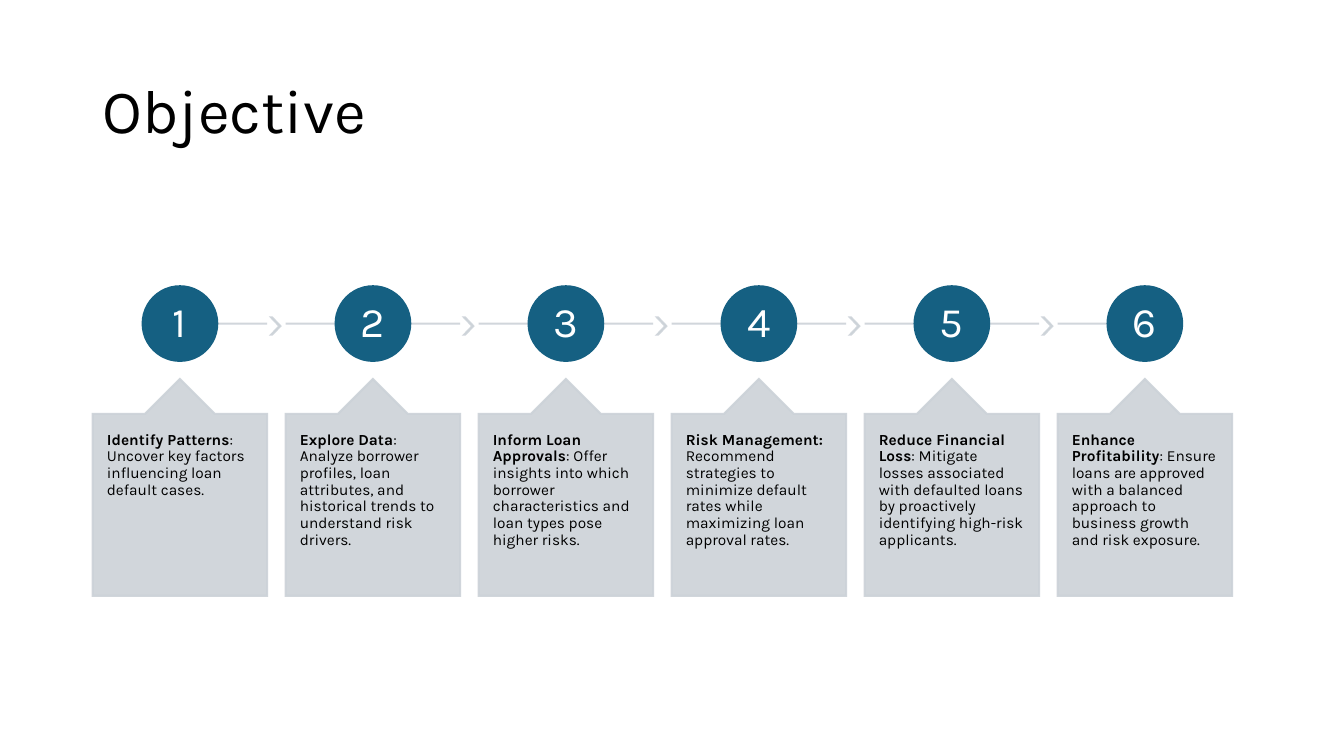
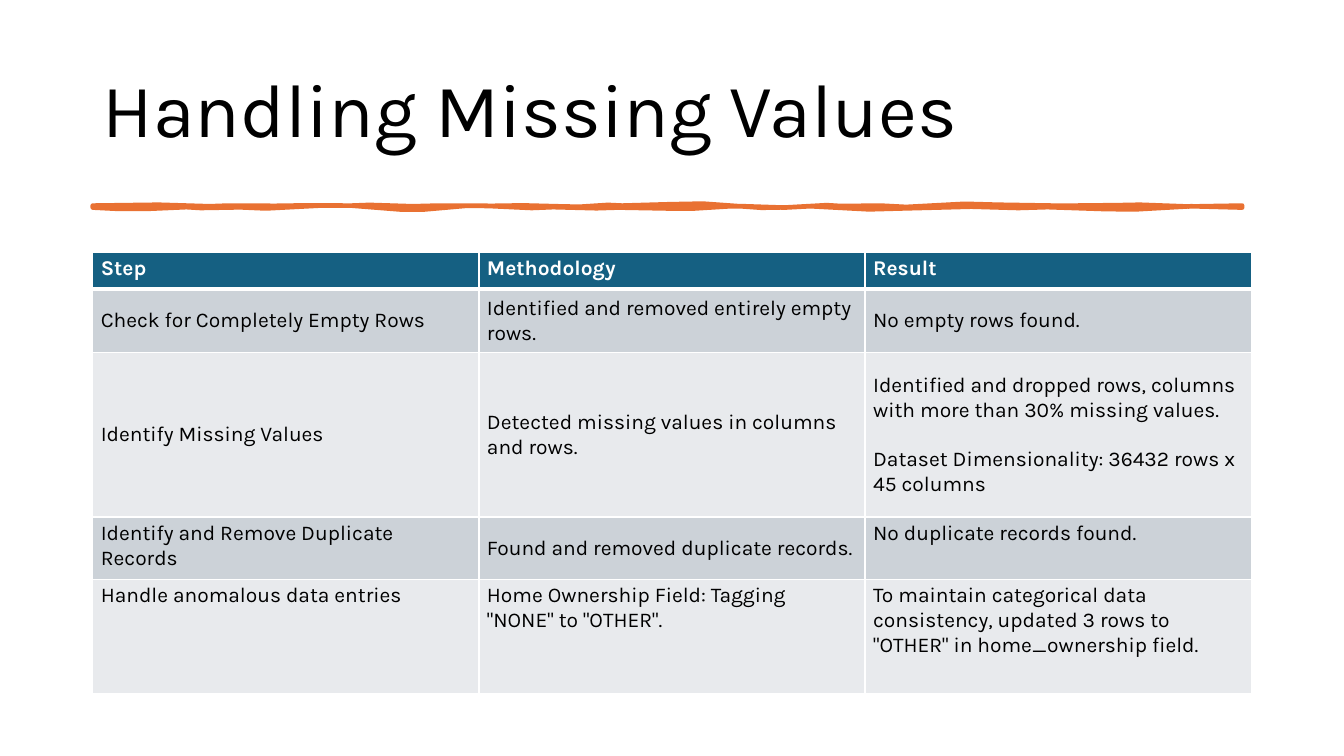
import dataclasses

import lxml.etree
import pptx
import pptx.dml.color
import pptx.enum.shapes
import pptx.enum.text
import pptx.oxml.ns
import pptx.util

Inches = pptx.util.Inches
Pt = pptx.util.Pt
qn = pptx.oxml.ns.qn
SHAPES = pptx.enum.shapes.MSO_SHAPE
ALIGN = pptx.enum.text.PP_ALIGN
ANCHORS = {"t": pptx.enum.text.MSO_ANCHOR.TOP, "m": pptx.enum.text.MSO_ANCHOR.MIDDLE}


@dataclasses.dataclass(frozen=True)
class Theme:
    font: str = "Karla"
    ink: str = "000000"
    paper: str = "FFFFFF"
    primary: str = "156082"
    accent: str = "E97132"
    grey: str = "CCD2D8"
    pale: str = "E8EAED"
    grey_opacity: int = 90
    title_size: int = 44
    large_title_size: int = 54
    number_size: int = 30
    table_size: int = 15
    card_size: int = 11
    outline: float = 1.5
    brush_outline: float = 3.25
    left: float = 0.92
    width: float = 11.49


THEME = Theme()

STEPS = [
    ("Identify Patterns", ": Uncover key factors influencing loan default cases."),
    ("Explore Data", ": Analyze borrower profiles, loan attributes, and historical "
                     "trends to understand risk drivers."),
    ("Inform Loan Approvals", ": Offer insights into which borrower characteristics "
                              "and loan types pose higher risks."),
    ("Risk Management: ", "Recommend strategies to minimize default rates while "
                          "maximizing loan approval rates."),
    ("Reduce Financial Loss", ": Mitigate losses associated with defaulted loans by "
                              "proactively identifying high-risk applicants."),
    ("Enhance Profitability", ": Ensure loans are approved with a balanced approach "
                              "to business growth and risk exposure."),
]

# Each row: height, anchor of each cell, text of each cell.
TABLE_ROWS = [
    (0.37, "ttt", ["Step", "Methodology", "Result"]),
    (0.63, "mmm", ["Check for Completely Empty Rows",
                   "Identified and removed entirely empty rows.",
                   "No empty rows found."]),
    (1.63, "mmm", ["Identify Missing Values",
                   "Detected missing values in columns and rows.",
                   ["Identified and dropped rows, columns with more than 30% missing values.",
                    "Dataset Dimensionality: 36432 rows x 45 columns"]]),
    (0.62, "tmt", ["Identify and Remove Duplicate Records",
                   "Found and removed duplicate records.",
                   "No duplicate records found."]),
    (1.13, "ttt", ["Handle anomalous data entries",
                   "Home Ownership Field: Tagging \"NONE\" to \"OTHER\".",
                   "To maintain categorical data consistency, updated 3 rows to "
                   "\"OTHER\" in home_ownership field."]),
]

# Edges of the brush stroke: end of each wave, then the rise of its two
# control points in hundredths of an inch.
BRUSH_TOP = [
    (1.9, 0, -2), (2.44, 2, -1), (3.31, 1, -1), (3.84, 1, -2), (4.6, 2, -1),
    (5.48, 1, -1), (5.89, 1, 2), (6.31, -2, 1), (7.3, -1, -4), (8.06, 4, 2),
    (8.48, -2, 2), (9.24, -2, 4), (10.23, -4, 0), (10.87, 0, 0), (11.52, 0, -2),
    (12.32, 2, 0),
]
BRUSH_BOTTOM = [
    (11.56, 0, -3), (10.68, 3, 2), (9.81, -2, 2), (9.28, -2, 0), (8.29, 0, 4),
    (7.53, -4, 2), (7.11, -2, -2), (6.35, 2, 1), (5.7, -1, 2), (5.06, -2, 2),
    (4.41, -2, -3), (3.77, 3, 3), (2.89, -3, -3), (2.13, 3, -2), (1.71, 2, -2),
    (0.92, 2, 2),
]


def rgb(color):
    return pptx.dml.color.RGBColor.from_string(color)


def write(frame, paragraphs, size, color=THEME.ink, bold=False, align=ALIGN.LEFT,
          anchor="t", margins=(0.1, 0.05), line_spacing=1.0, gap=0):
    """Fill a text frame; a paragraph is a string or a list of (text, bold) spans."""
    frame.word_wrap = True
    frame.vertical_anchor = ANCHORS[anchor]
    frame.margin_left = frame.margin_right = Inches(margins[0])
    frame.margin_top = frame.margin_bottom = Inches(margins[1])
    for index, spans in enumerate(paragraphs):
        para = frame.add_paragraph() if index else frame.paragraphs[0]
        para.alignment = align
        para.line_spacing = line_spacing
        para.space_before = Pt(gap if index else 0)
        for text, is_bold in [(spans, bold)] if isinstance(spans, str) else spans:
            span = para.add_run()
            span.text = text
            span.font.name = THEME.font
            span.font.size = Pt(size)
            span.font.bold = is_bold
            span.font.color.rgb = rgb(color)


def set_opacity(shape, percent):
    for color in list(shape.element.spPr.iter(qn("a:srgbClr"))):
        lxml.etree.SubElement(color, qn("a:alpha"), val=str(percent * 1000))


def set_borders(cell, color, top, bottom):
    properties = cell._tc.get_or_add_tcPr()
    for side, width in (("L", 1), ("R", 1), ("T", top), ("B", bottom)):
        line = lxml.etree.SubElement(properties, qn("a:ln" + side), w=str(Pt(width)))
        fill = lxml.etree.SubElement(line, qn("a:solidFill"))
        lxml.etree.SubElement(fill, qn("a:srgbClr"), val=color)


def sample_edge(x, y, waves):
    """Return two points on each wave, at its thirds."""
    points = []
    for end, first, second in waves:
        for t in (1 / 3, 2 / 3):
            rise = 3 * t * (1 - t) * ((1 - t) * first + t * second) / 100
            points.append((x + (end - x) * t, y + rise))
        x = end
    return points


class Deck:
    def __init__(self, theme):
        self.theme = theme
        self.file = pptx.Presentation()
        self.file.slide_width = Inches(13.33)
        self.file.slide_height = Inches(7.5)
        self.page = None

    def add_page(self, title, size):
        self.page = self.file.slides.add_slide(self.file.slide_layouts[6])
        box = self.page.shapes.add_textbox(
            Inches(self.theme.left), Inches(0.4), Inches(self.theme.width), Inches(1.45))
        write(box.text_frame, [title], size, anchor="m", line_spacing=0.9)

    def paint(self, shape, color, outline):
        shape.shadow.inherit = False
        shape.fill.solid()
        shape.fill.fore_color.rgb = rgb(color)
        shape.line.color.rgb = rgb(color)
        shape.line.width = Pt(outline)

    def shape(self, kind, left, top, width, height, color, adjustments=(), opacity=100):
        """Add a preset shape with sharp corners."""
        shape = self.page.shapes.add_shape(
            kind, Inches(left), Inches(top), Inches(width), Inches(height))
        for index, value in enumerate(adjustments):
            shape.adjustments[index] = value
        self.paint(shape, color, self.theme.outline)
        outline = shape.element.spPr.find(qn("a:ln"))
        lxml.etree.SubElement(outline, qn("a:miter"), lim="800000")
        if opacity < 100:
            set_opacity(shape, opacity)
        return shape

    def rule(self, start, end, y):
        line = self.page.shapes.add_connector(
            pptx.enum.shapes.MSO_CONNECTOR.STRAIGHT,
            Inches(start), Inches(y), Inches(end), Inches(y))
        line.line.color.rgb = rgb(self.theme.grey)
        line.line.width = Pt(self.theme.outline)
        set_opacity(line, self.theme.grey_opacity)
        lxml.etree.SubElement(line.element.spPr, qn("a:effectLst"))

    def brush_stroke(self, top, bottom):
        left, right = self.theme.left, BRUSH_TOP[-1][0]
        points = sample_edge(left, top, BRUSH_TOP) + [(right, top), (right, bottom)]
        points += sample_edge(right, bottom, BRUSH_BOTTOM) + [(left, bottom)]
        builder = self.page.shapes.build_freeform(
            Inches(left), Inches(top), scale=1.0)
        builder.add_line_segments([(Inches(x), Inches(y)) for x, y in points], close=True)
        self.paint(builder.convert_to_shape(), self.theme.accent, self.theme.brush_outline)

    def step(self, number, count, spans):
        """Draw one numbered step: its line, arrow, circle and callout."""
        theme = self.theme
        width, circle = 1.73, 0.74
        pitch = 9.57 / (count - 1)
        left = theme.left + (number - 1) * pitch
        center = left + width / 2
        grey = {"color": theme.grey, "opacity": theme.grey_opacity}
        is_last = number == count
        self.rule(center if number == 1 else left, center if is_last else left + width, 3.21)
        if not is_last:
            self.shape(SHAPES.CHEVRON, left + 1.77, 3.15, 0.09, 0.17,
                       adjustments=[0.9], **grey)
        badge = self.shape(SHAPES.OVAL, center - circle / 2, 2.84, circle, circle,
                           theme.primary)
        write(badge.text_frame, [str(number)], theme.number_size, theme.paper,
              align=ALIGN.CENTER, anchor="m", margins=(0.03, 0.03), line_spacing=0.9)
        card = self.shape(SHAPES.UP_ARROW_CALLOUT, left, 3.76, width, 2.15,
                          adjustments=[0.4, 0.2, 0.2, 0.84], **grey)
        write(card.text_frame, [spans], theme.card_size, margins=(0.14, 0.18),
              line_spacing=0.9)

    def table(self, top, rows):
        theme = self.theme
        columns = len(rows[0][2])
        table = self.page.shapes.add_table(
            len(rows), columns, Inches(theme.left), Inches(top), Inches(theme.width),
            Inches(sum(height for height, _, _ in rows))).table
        for r, (height, anchors, texts) in enumerate(rows):
            table.rows[r].height = Inches(height)
            is_header = r == 0
            band = theme.primary if is_header else theme.grey if r % 2 else theme.pale
            for c, (anchor, text) in enumerate(zip(anchors, texts)):
                cell = table.cell(r, c)
                set_borders(cell, theme.paper, top=3 if r == 1 else 1,
                            bottom=3 if is_header else 1)
                cell.fill.solid()
                cell.fill.fore_color.rgb = rgb(band)
                write(cell.text_frame, [text] if isinstance(text, str) else text,
                      theme.table_size, theme.paper if is_header else theme.ink,
                      bold=is_header, gap=17.5)
                cell.vertical_anchor = ANCHORS[anchor]
                cell.margin_left = cell.margin_right = Inches(0.08)
                cell.margin_top = cell.margin_bottom = Inches(0.04)


def main():
    deck = Deck(THEME)

    deck.add_page("Objective", THEME.title_size)
    for number, (heading, detail) in enumerate(STEPS, start=1):
        deck.step(number, len(STEPS), [(heading, True), (detail, False)])

    deck.add_page("Handling Missing Values", THEME.large_title_size)
    deck.brush_stroke(2.04, 2.06)
    deck.table(2.5, TABLE_ROWS)

    deck.file.save("out.pptx")


if __name__ == "__main__":
    main()
